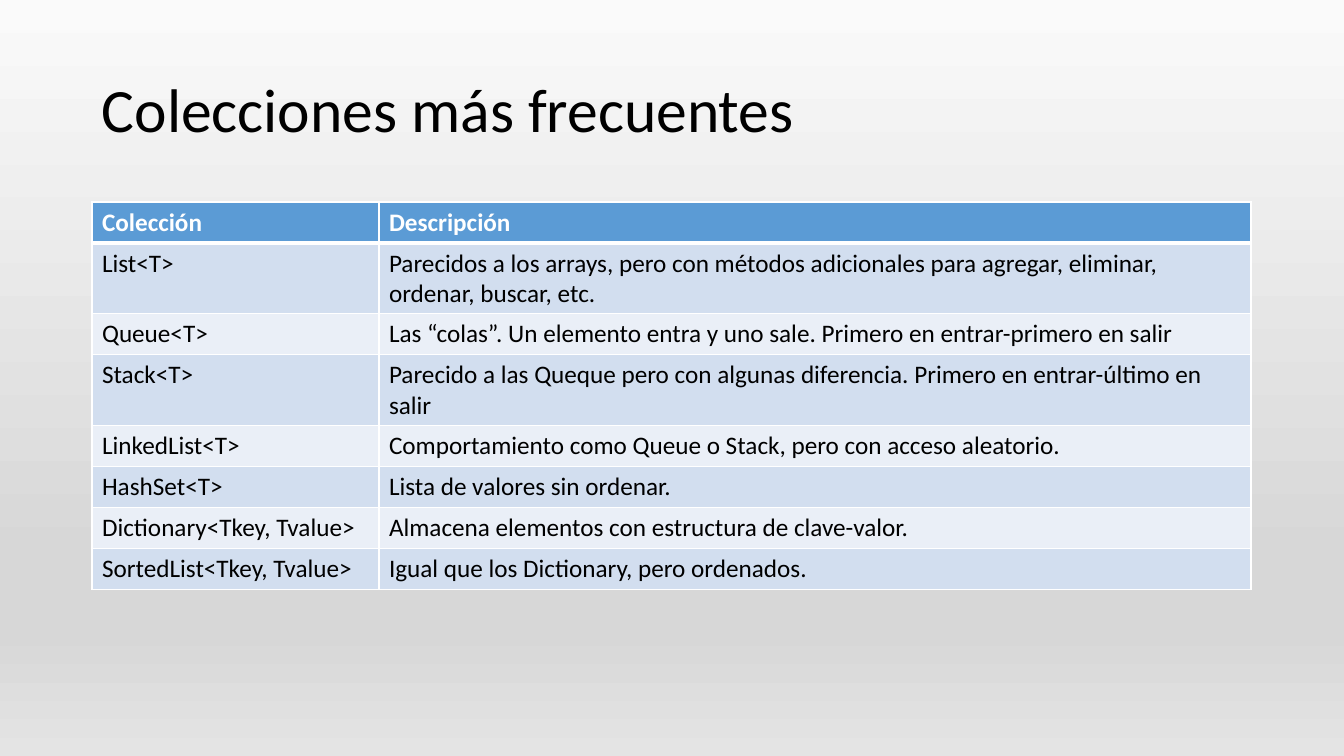
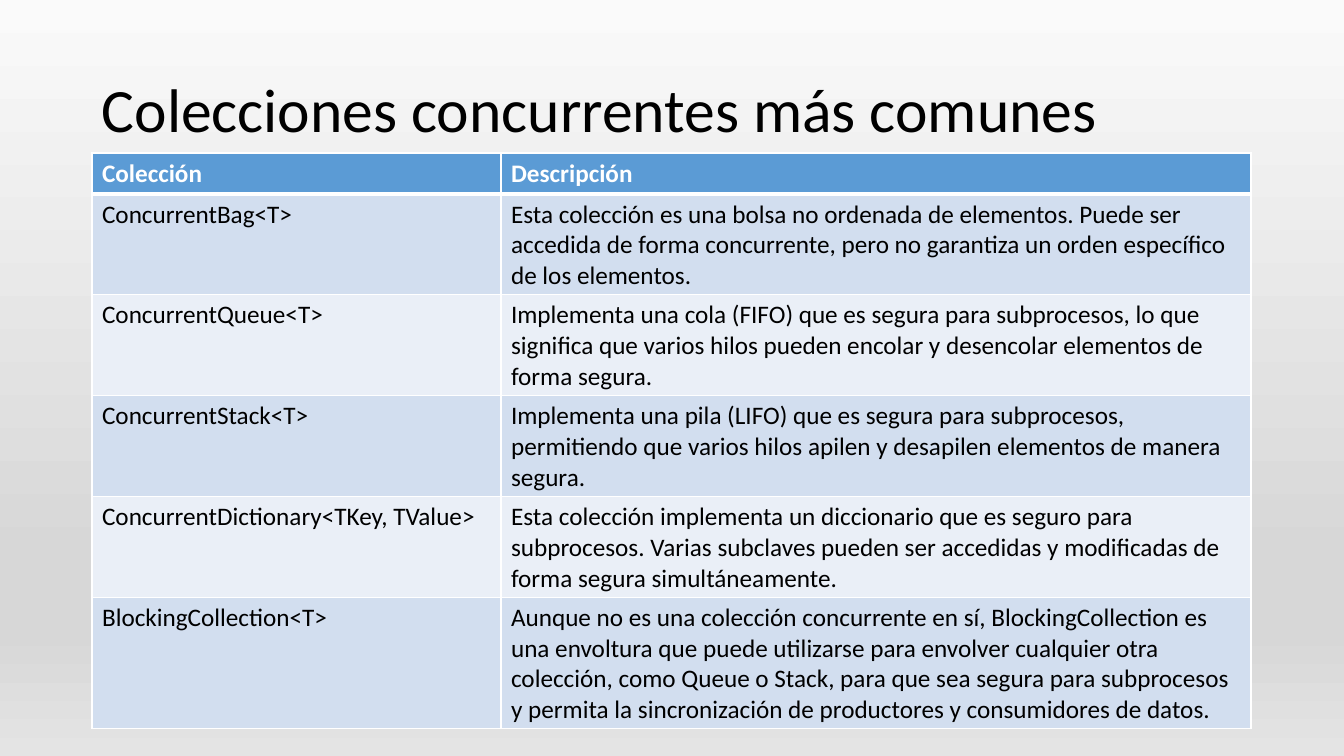
from lxml.etree import SubElement
from pptx import Presentation
from pptx.dml.color import RGBColor
from pptx.enum.text import MSO_ANCHOR
from pptx.oxml.ns import qn
from pptx.util import Pt

PX = 914400 / 100.8
SLIDE_W, SLIDE_H = 1344, 756
LEFT, TITLE_TOP, CONTENT_W, TITLE_H = 92, 40, 1159, 146
ROW_H = 41

BLACK = RGBColor(0x00, 0x00, 0x00)
WHITE = RGBColor(0xFF, 0xFF, 0xFF)
HEADER_BLUE = RGBColor(0x5B, 0x9B, 0xD5)
BAND_DARK = RGBColor(0xD2, 0xDE, 0xEF)
BAND_LIGHT = RGBColor(0xEA, 0xEF, 0xF7)
BACKDROP = [
    (0, RGBColor(0xFA, 0xFA, 0xFA)),
    (74, RGBColor(0xD7, 0xD7, 0xD7)),
    (83, RGBColor(0xD7, 0xD7, 0xD7)),
    (100, RGBColor(0xE4, 0xE4, 0xE4)),
]

TITLE_FONT = {"name": "Calibri", "size": Pt(44), "bold": False}
HEADER_FONT = {"name": "Calibri", "size": Pt(18), "bold": True}
BODY_FONT = {"name": "Calibri", "size": Pt(18), "bold": False}

HEADER = ("Colección", "Descripción")
SLIDES = [
    {
        "title": "Colecciones más frecuentes",
        "top": 202,
        "name_width": 287,
        "collections": [
            ("List<T>", "Parecidos a los arrays, pero con métodos adicionales para "
             "agregar, eliminar, ordenar, buscar, etc."),
            ("Queue<T>", "Las “colas”. Un elemento entra y uno sale. "
             "Primero en entrar-primero en salir"),
            ("Stack<T>", "Parecido a las Queque pero con algunas diferencia. "
             "Primero en entrar-último en salir"),
            ("LinkedList<T>", "Comportamiento como Queue o Stack, pero con acceso aleatorio."),
            ("HashSet<T>", "Lista de valores sin ordenar."),
            ("Dictionary<Tkey, Tvalue>", "Almacena elementos con estructura de clave-valor."),
            ("SortedList<Tkey, Tvalue>", "Igual que los Dictionary, pero ordenados."),
        ],
    },
    {
        "title": "Colecciones concurrentes más comunes",
        "top": 153,
        "name_width": 409,
        "collections": [
            ("ConcurrentBag<T>", "Esta colección es una bolsa no ordenada de elementos. "
             "Puede ser accedida de forma concurrente, pero no garantiza un orden "
             "específico de los elementos."),
            ("ConcurrentQueue<T>", "Implementa una cola (FIFO) que es segura para "
             "subprocesos, lo que significa que varios hilos pueden encolar y "
             "desencolar elementos de forma segura."),
            ("ConcurrentStack<T>", "Implementa una pila (LIFO) que es segura para "
             "subprocesos, permitiendo que varios hilos apilen y desapilen elementos "
             "de manera segura."),
            ("ConcurrentDictionary<TKey, TValue>", "Esta colección implementa un "
             "diccionario que es seguro para subprocesos. Varias subclaves pueden ser "
             "accedidas y modificadas de forma segura simultáneamente."),
            ("BlockingCollection<T>", "Aunque no es una colección concurrente en sí, "
             "BlockingCollection es una envoltura que puede utilizarse para envolver "
             "cualquier otra colección, como Queue o Stack, para que sea segura para "
             "subprocesos y permita la sincronización de productores y consumidores "
             "de datos."),
        ],
    },
]


def px(*lengths):
    return [round(length * PX) for length in lengths]


def write(frame, text, font_format, color):
    paragraph = frame.paragraphs[0]
    run = paragraph.add_run()
    run.text = text
    for attribute, value in font_format.items():
        setattr(run.font, attribute, value)
    run.font.color.rgb = color
    return paragraph


def paint_backdrop(master):
    fill = master.background.fill
    fill.gradient()
    fill.gradient_angle = 270
    stops = master.element.find(".//" + qn("p:bg")).find(".//" + qn("a:gsLst"))
    for stop in list(stops):
        stops.remove(stop)
    for percent, color in BACKDROP:
        stop = SubElement(stops, qn("a:gs"), pos=str(percent * 1000))
        SubElement(stop, qn("a:srgbClr"), val=str(color))


def add_title(slide, title):
    frame = slide.shapes.add_textbox(*px(LEFT, TITLE_TOP, CONTENT_W, TITLE_H)).text_frame
    frame.word_wrap = True
    frame.vertical_anchor = MSO_ANCHOR.MIDDLE
    write(frame, title, TITLE_FONT, BLACK).line_spacing = 0.9


def set_borders(cell, row):
    """Thin white lines, with a thick one between header and body."""
    widths = {"L": 1, "R": 1, "T": 3 if row == 1 else 1, "B": 3 if row == 0 else 1}
    properties = cell._tc.get_or_add_tcPr()
    for side, width in widths.items():
        line = SubElement(properties, qn("a:ln" + side), w=str(Pt(width)))
        SubElement(SubElement(line, qn("a:solidFill")), qn("a:srgbClr"), val=str(WHITE))


def row_style(row):
    if row == 0:
        return HEADER_BLUE, HEADER_FONT, WHITE
    return (BAND_DARK if row % 2 else BAND_LIGHT), BODY_FONT, BLACK


def add_collections(slide, top, name_width, collections):
    rows = [HEADER, *collections]
    box = px(LEFT, top, CONTENT_W, ROW_H * len(rows))
    table = slide.shapes.add_table(len(rows), len(HEADER), *box).table
    for column, width in zip(table.columns, px(name_width, CONTENT_W - name_width)):
        column.width = width
    for row, texts in enumerate(rows):
        band, font_format, color = row_style(row)
        for column, text in enumerate(texts):
            cell = table.cell(row, column)
            set_borders(cell, row)
            cell.fill.solid()
            cell.fill.fore_color.rgb = band
            write(cell.text_frame, text, font_format, color)


def main():
    prs = Presentation()
    prs.slide_width, prs.slide_height = px(SLIDE_W, SLIDE_H)
    paint_backdrop(prs.slide_master)
    for content in SLIDES:
        slide = prs.slides.add_slide(prs.slide_layouts[6])
        add_title(slide, content["title"])
        add_collections(slide, content["top"], content["name_width"], content["collections"])
    prs.save("out.pptx")


if __name__ == "__main__":
    main()
